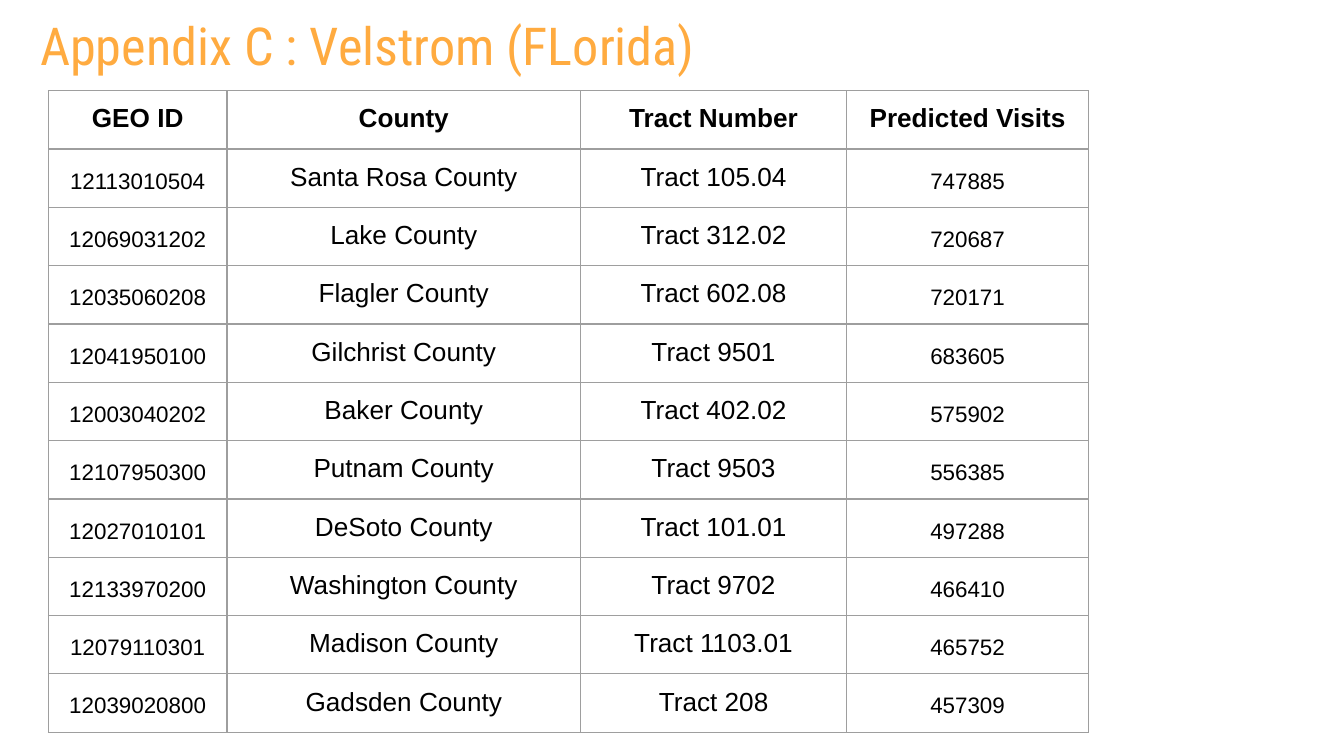
from typing import NamedTuple

from lxml.etree import SubElement
from pptx import Presentation
from pptx.dml.color import RGBColor
from pptx.enum.text import MSO_ANCHOR, MSO_AUTO_SIZE, PP_ALIGN
from pptx.oxml.ns import qn
from pptx.util import Emu, Pt

PX = 4572  # 200 px to the inch
COLORS = {"title": "FFAB40", "text": "000000", "border": "9E9E9E"}
COLUMN_WIDTHS = (266, 526, 396, 360)
ROW_HEIGHT = 84
PADDING = 20


class Tract(NamedTuple):
    geo_id: str
    county: str
    number: str
    visits: str


class CellStyle(NamedTuple):
    size: int = 14
    bold: bool = False
    anchor: MSO_ANCHOR = MSO_ANCHOR.TOP
    padding: int = PADDING
    line_spacing: float | None = None


HEADER = CellStyle(bold=True)
LABEL = CellStyle()
FIGURE = CellStyle(size=12, anchor=MSO_ANCHOR.BOTTOM, padding=2, line_spacing=1.15)
BODY_STYLES = (FIGURE, LABEL, LABEL, FIGURE)

HEADINGS = Tract("GEO ID", "County", "Tract Number", "Predicted Visits")
TRACTS = (
    Tract("12113010504", "Santa Rosa County", "Tract 105.04", "747885"),
    Tract("12069031202", "Lake County", "Tract 312.02", "720687"),
    Tract("12035060208", "Flagler County", "Tract 602.08", "720171"),
    Tract("12041950100", "Gilchrist County", "Tract 9501", "683605"),
    Tract("12003040202", "Baker County", "Tract 402.02", "575902"),
    Tract("12107950300", "Putnam County", "Tract 9503", "556385"),
    Tract("12027010101", "DeSoto County", "Tract 101.01", "497288"),
    Tract("12133970200", "Washington County", "Tract 9702", "466410"),
    Tract("12079110301", "Madison County", "Tract 1103.01", "465752"),
    Tract("12039020800", "Gadsden County", "Tract 208", "457309"),
)


def px(length: int) -> Emu:
    return Emu(length * PX)


def write_text(frame, text: str, *, size: int, font: str = "Arial", color: str = "text",
               bold: bool = False, align=PP_ALIGN.LEFT,
               line_spacing: float | None = None) -> None:
    para = frame.paragraphs[0]
    para.alignment = align
    para.line_spacing = line_spacing
    span = para.add_run()
    span.text = text
    span.font.name = font
    span.font.size = Pt(size)
    span.font.bold = bold
    span.font.color.rgb = RGBColor.from_string(COLORS[color])


def set_margins(box, side: int, bottom: int = PADDING) -> None:
    box.margin_left = box.margin_right = box.margin_top = px(side)
    box.margin_bottom = px(bottom)


def add_borders(cell) -> None:
    properties = cell._tc.get_or_add_tcPr()
    for position, side in enumerate(("lnL", "lnR", "lnT", "lnB")):
        line = properties.makeelement(qn(f"a:{side}"), {"w": str(Pt(0.75))})
        fill = SubElement(line, qn("a:solidFill"))
        SubElement(fill, qn("a:srgbClr"), val=COLORS["border"])
        properties.insert(position, line)


def fill_cell(cell, text: str, style: CellStyle) -> None:
    cell.fill.background()
    cell.vertical_anchor = style.anchor
    set_margins(cell, style.padding)
    write_text(cell.text_frame, text, size=style.size, bold=style.bold,
               align=PP_ALIGN.CENTER, line_spacing=style.line_spacing)
    add_borders(cell)


def add_title(page, text: str) -> None:
    frame = page.shapes.add_textbox(px(40), px(0), px(1158), px(134)).text_frame
    frame.word_wrap = True
    frame.auto_size = MSO_AUTO_SIZE.SHAPE_TO_FIT_TEXT
    set_margins(frame, PADDING)
    write_text(frame, text, size=28, font="Roboto Condensed", color="title")


def add_tract_table(page) -> None:
    rows = (HEADINGS, *TRACTS)
    table = page.shapes.add_table(
        len(rows), len(COLUMN_WIDTHS), px(72), px(135),
        px(sum(COLUMN_WIDTHS)), px(ROW_HEIGHT * len(rows))).table
    table.horz_banding = False
    for column, width in zip(table.columns, COLUMN_WIDTHS):
        column.width = px(width)
    for row_index, tract in enumerate(rows):
        table.rows[row_index].height = px(ROW_HEIGHT)
        styles = BODY_STYLES if row_index else (HEADER,) * len(HEADINGS)
        for column_index, (text, style) in enumerate(zip(tract, styles)):
            fill_cell(table.cell(row_index, column_index), text, style)


def main() -> None:
    deck = Presentation()
    deck.slide_width, deck.slide_height = px(2000), px(1125)
    page = deck.slides.add_slide(deck.slide_layouts[6])
    add_title(page, "Appendix C : Velstrom (FLorida)")
    add_tract_table(page)
    deck.save("out.pptx")


if __name__ == "__main__":
    main()
